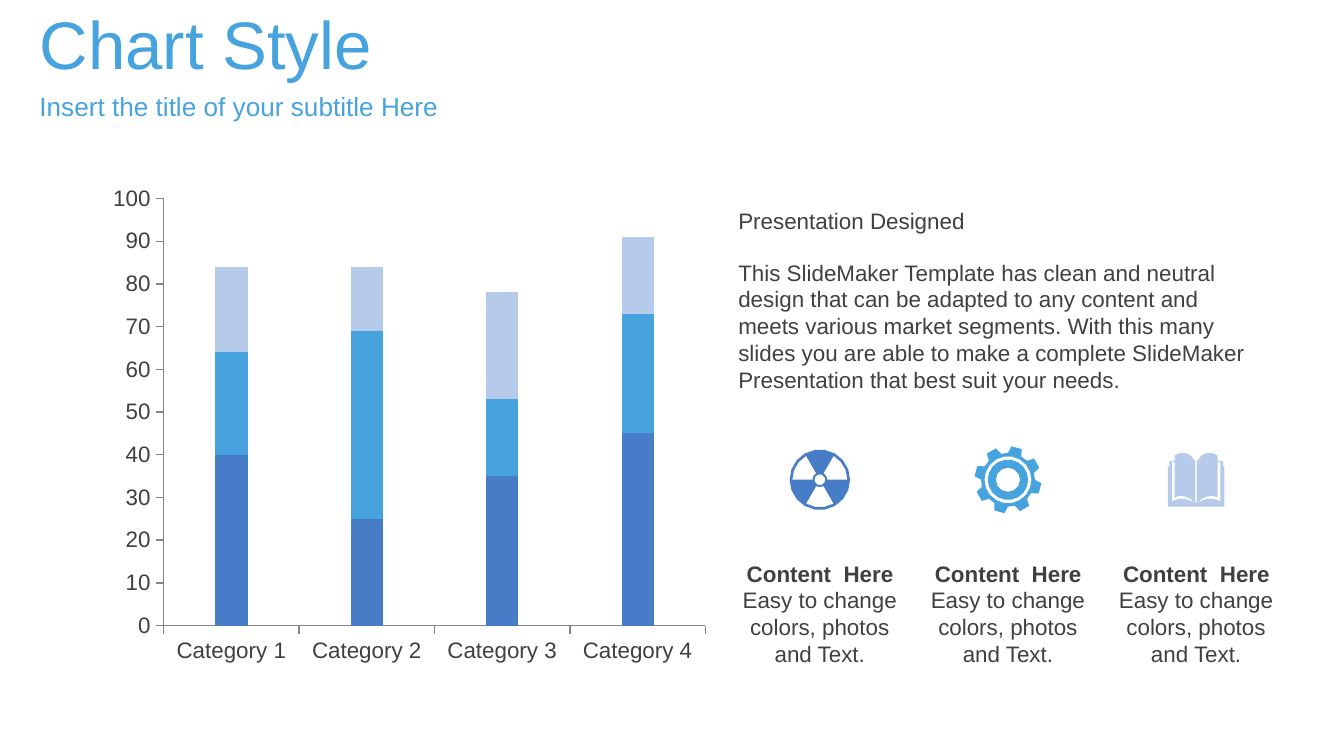
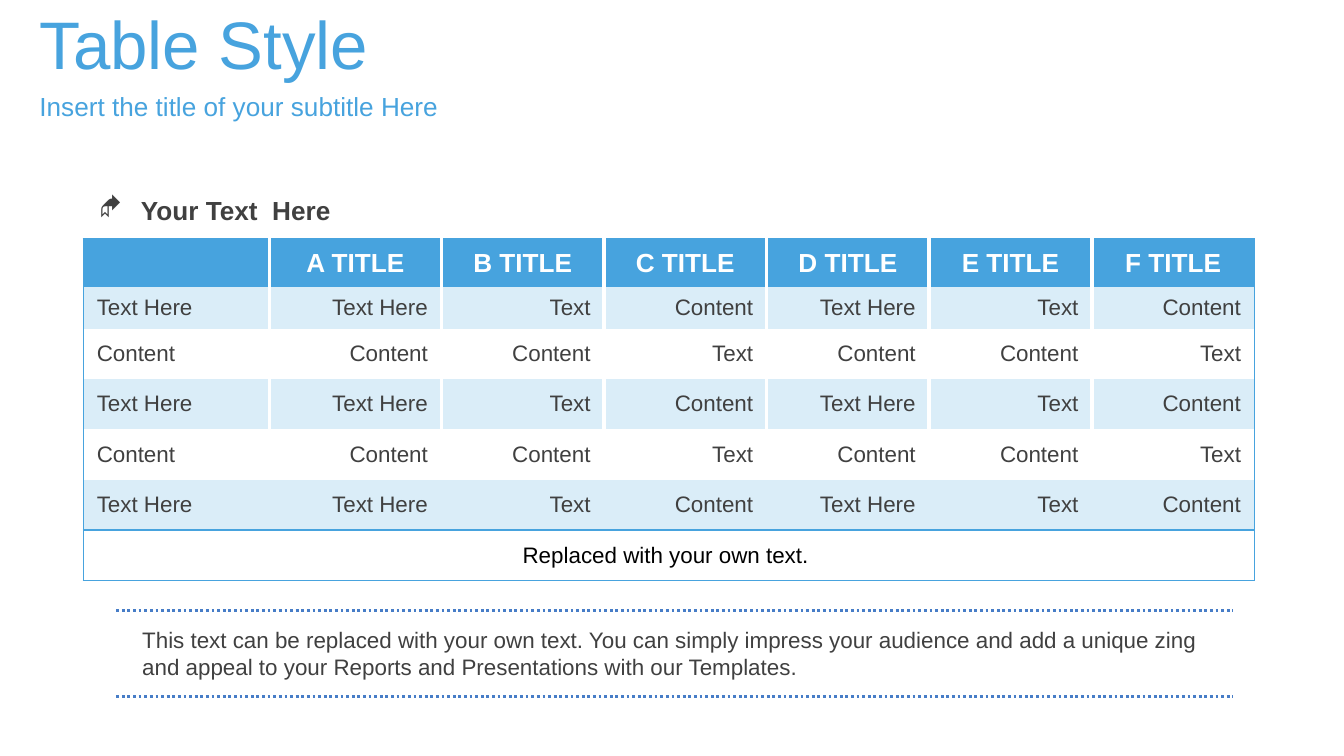
from math import cos, radians, sin

from lxml.etree import SubElement
from pptx import Presentation
from pptx.chart.data import CategoryChartData
from pptx.dml.color import RGBColor
from pptx.enum.chart import XL_CHART_TYPE as ChartType, XL_TICK_MARK as TickMark
from pptx.enum.dml import MSO_LINE as Dash
from pptx.enum.shapes import MSO_CONNECTOR as Connector
from pptx.enum.text import MSO_ANCHOR as Anchor, MSO_AUTO_SIZE as AutoSize, PP_ALIGN as Align
from pptx.oxml import parse_xml
from pptx.oxml.ns import nsdecls, qn
from pptx.util import Pt

PX = 4572
FONT = "Arial"
SKY = RGBColor(0x47, 0xA3, 0xDE)
BLUE = RGBColor(0x47, 0x7D, 0xC7)
PALE = RGBColor(0xB5, 0xCB, 0xE9)
BAND = RGBColor(0xDA, 0xED, 0xF8)
DARK = RGBColor(0x40, 0x40, 0x40)
GRAY = RGBColor(0x86, 0x86, 0x86)
WHITE = RGBColor(0xFF, 0xFF, 0xFF)
BLACK = RGBColor(0, 0, 0)

SUBTITLE = "Insert the title of your subtitle Here"
INTRO = (
    "This SlideMaker Template has clean and neutral design that can be adapted to any "
    "content and meets various market segments. With this many slides you are able to "
    "make a complete SlideMaker Presentation that best suit your needs."
)
CLOSING = (
    "This text can be replaced with your own text. You can simply impress your audience "
    "and add a unique zing and appeal to your Reports and Presentations with our Templates."
)
SERIES = [
    ("Series 1", (40, 25, 35, 45), BLUE),
    ("Series 2", (24, 44, 18, 28), SKY),
    ("Series 3", (20, 15, 25, 18), PALE),
]
HEADER = [""] + [f"{letter} TITLE" for letter in "ABCDEF"]
BANDED_ROW = ["Text Here"] + ["Text Here", "Text", "Content"] * 2
PLAIN_ROW = ["Content"] + ["Content", "Content", "Text"] * 2
TABLE_ROWS = [HEADER, BANDED_ROW, PLAIN_ROW, BANDED_ROW, PLAIN_ROW, BANDED_ROW]
FOOTNOTE = "Replaced with your own text. "
COLUMN_WIDTHS = [277, 256] + [242] * 5
ROW_HEIGHTS = [71, 62] + [75] * 5
COVER_HALF = [
    (-42, 754), (-42, 694), (-40, 694), (-40, 686), (-32, 686), (-32, 678),
    (-26, 675), (-20, 674), (-13, 675), (-7, 679), (-2, 686),
]
PAGE_GAP = [
    (-32, 688), (-36, 688), (-36, 746), (-28, 743), (-20, 742), (-11, 744),
    (-2, 748), (-9, 742), (-16, 739), (-24, 738), (-32, 740),
]
SPINE = [(-1, 686), (1, 686), (1, 748), (-1, 748)]


def set_font(font, size, color, bold=False):
    font.name = FONT
    font.size = Pt(size)
    font.bold = bold
    font.color.rgb = color


def write(frame, text, size=12, color=DARK, bold=False, align=Align.LEFT):
    paragraph = frame.paragraphs[0]
    paragraph.text = text
    paragraph.alignment = align
    set_font(paragraph.font, size, color, bold)
    return paragraph


def add_frame(slide, left, top, width, height):
    frame = slide.shapes.add_textbox(left * PX, top * PX, width * PX, height * PX).text_frame
    frame.word_wrap = True
    return frame


def add_text(slide, left, top, width, height, text, **style):
    return write(add_frame(slide, left, top, width, height), text, **style)


def add_heading(slide, text):
    title = slide.shapes.title
    title.left, title.top, title.width, title.height = 39 * PX, 0, 1560 * PX, 126 * PX
    title.text_frame.auto_size = AutoSize.NONE
    subtitle = add_frame(slide, 39, 127, 1560, 62)
    for frame, wording, size in ((title.text_frame, text, 36), (subtitle, SUBTITLE, 14)):
        frame.vertical_anchor = Anchor.MIDDLE
        write(frame, wording, size=size, color=SKY)


def add_stacked_chart(slide):
    data = CategoryChartData()
    data.categories = [f"Category {number}" for number in range(1, 5)]
    for name, values, _ in SERIES:
        data.add_series(name, values)
    chart = slide.shapes.add_chart(
        ChartType.COLUMN_STACKED, 150 * PX, 263 * PX, 918 * PX, 738 * PX, data
    ).chart
    set_font(chart.font, 18, BLACK)
    chart.has_legend = False
    chart.has_title = False
    plot = chart.plots[0]
    plot.gap_width = 321
    plot.overlap = 100
    plot.vary_by_categories = False
    for series, (_, _, color) in zip(plot.series, SERIES):
        series.format.fill.solid()
        series.format.fill.fore_color.rgb = color
    for axis in (chart.category_axis, chart.value_axis):
        axis.has_major_gridlines = False
        axis.major_tick_mark = TickMark.OUTSIDE
        axis.minor_tick_mark = TickMark.NONE
        axis.format.line.color.rgb = GRAY
        axis.format.line.width = Pt(0.75)
        set_font(axis.tick_labels.font, 12, DARK)
    chart.value_axis.minimum_scale = 0
    chart.value_axis.maximum_scale = 100
    chart.value_axis.major_unit = 10


def polar(center, radius, angle):
    return center[0] + radius * cos(radians(angle)), center[1] + radius * sin(radians(angle))


def arc(center, radius, start, end):
    steps = abs(end - start) // (20 if radius >= 30 else 30)
    return [
        polar(center, radius, start + (end - start) * step / steps) for step in range(steps + 1)
    ]


def circle(center, radius):
    return arc(center, radius, 0, 360)[:-1]


def add_outline(slide, contours, color):
    contours = [[(round(x * PX), round(y * PX)) for x, y in contour] for contour in contours]
    builder = slide.shapes.build_freeform(*contours[0][0])
    builder.add_line_segments(contours[0][1:])
    for contour in contours[1:]:
        builder.move_to(*contour[0])
        builder.add_line_segments(contour[1:])
    icon = builder.convert_to_shape()
    icon.shadow.inherit = False
    icon.fill.solid()
    icon.fill.fore_color.rgb = color
    icon.line.fill.background()


def add_radiation_icon(slide, center):
    sectors = [
        arc(center, 41, start, start + 60) + arc(center, 11, start + 60, start)
        for start in (60, 180, 300)
    ]
    add_outline(slide, [circle(center, 45), circle(center, 8)] + sectors, BLUE)


def add_gear_icon(slide, center):
    teeth = [
        polar(center, radius, middle + offset)
        for middle in range(-75, 285, 45)
        for radius, offset in ((40, -15), (50, -9), (50, 9), (40, 15))
    ]
    add_outline(slide, [teeth] + [circle(center, radius) for radius in (35, 30, 18)], SKY)


def add_book_icon(slide, middle):
    def mirrored(points):
        return [(-x, y) for x, y in reversed(points)]

    contours = [COVER_HALF + mirrored(COVER_HALF), PAGE_GAP, mirrored(PAGE_GAP), SPINE]
    add_outline(slide, [[(middle + x, y) for x, y in part] for part in contours], PALE)


def add_content_column(slide, left):
    add_text(
        slide, left, 863, 296, 142, "Easy to change colors, photos and Text.", align=Align.CENTER
    )
    add_text(slide, left, 824, 297, 60, "Content  Here", bold=True, align=Align.CENTER)


def set_borders(cell, **borders):
    properties = cell._tc.get_or_add_tcPr()
    for position, side in enumerate("LRTB"):
        color, width = borders.get(side) or (None, 0)
        paint = f'<a:solidFill><a:srgbClr val="{color}"/></a:solidFill>' if color else "<a:noFill/>"
        line = f'<a:ln{side} {nsdecls("a")} w="{Pt(width)}">{paint}</a:ln{side}>'
        properties.insert(position, parse_xml(line))


def format_cell(cell, row, column, text):
    last_row, last_column = len(ROW_HEIGHTS) - 1, len(COLUMN_WIDTHS) - 1
    frame_line = (SKY, 1)
    divider = (WHITE, 2.25) if row < 4 else None
    cell.vertical_anchor = Anchor.MIDDLE
    if row == 0:
        fill = SKY
        write(cell.text_frame, text, size=14, color=WHITE, bold=True, align=Align.CENTER)
    elif row == last_row:
        fill = None
        write(cell.text_frame, text, color=BLACK, align=Align.CENTER)
    else:
        fill = BAND if row % 2 else None
        write(cell.text_frame, text, align=Align.RIGHT if column else Align.LEFT)
    if fill:
        cell.fill.solid()
        cell.fill.fore_color.rgb = fill
    else:
        cell.fill.background()
    set_borders(
        cell,
        L=frame_line if column == 0 or row == last_row else divider,
        R=frame_line if column == last_column or row == last_row else divider,
        T=frame_line if row in (0, last_row) else None,
        B=frame_line if row >= last_row - 1 else None,
    )


def add_text_table(slide):
    table = slide.shapes.add_table(
        len(ROW_HEIGHTS), len(COLUMN_WIDTHS), 124 * PX, 356 * PX,
        sum(COLUMN_WIDTHS) * PX, sum(ROW_HEIGHTS) * PX,
    ).table
    table.first_row = False
    table.horz_banding = False
    for column, width in zip(table.columns, COLUMN_WIDTHS):
        column.width = width * PX
    for row, height in zip(table.rows, ROW_HEIGHTS):
        row.height = height * PX
    footnote_row = [FOOTNOTE] + [""] * (len(COLUMN_WIDTHS) - 1)
    for row, texts in enumerate(TABLE_ROWS + [footnote_row]):
        for column, text in enumerate(texts):
            format_cell(table.cell(row, column), row, column, text)
    last_row = len(TABLE_ROWS)
    table.cell(last_row, 0).merge(table.cell(last_row, len(COLUMN_WIDTHS) - 1))


def add_bullet_heading(slide, text):
    frame = add_frame(slide, 128, 279, 472, 68)
    properties = frame.paragraphs[0]._p.get_or_add_pPr()
    properties.set("marL", str(62 * PX))
    properties.set("indent", str(-62 * PX))
    SubElement(properties, qn("a:buFont")).set("typeface", "Wingdings")
    SubElement(properties, qn("a:buChar")).set("char", "◆")
    write(frame, text, size=14, bold=True)


def add_dotted_line(slide, top):
    rule = slide.shapes.add_connector(Connector.STRAIGHT, 173 * PX, top * PX, 1835 * PX, top * PX)
    rule.line.color.rgb = BLUE
    rule.line.width = Pt(1.5)
    rule.line.dash_style = Dash.ROUND_DOT
    SubElement(rule._element.spPr, qn("a:effectLst"))


def build_chart_slide(slide):
    add_heading(slide, "Chart Style")
    add_stacked_chart(slide)
    add_text(slide, 1079, 294, 804, 62, "Presentation Designed").line_spacing = 1.1
    add_text(slide, 1079, 375, 804, 222, INTRO)
    add_book_icon(slide, 1780)
    add_radiation_icon(slide, (1220, 714))
    add_gear_icon(slide, (1500, 714))
    for column in range(3):
        add_content_column(slide, 1072 + 280 * column)


def build_table_slide(slide):
    add_heading(slide, "Table Style")
    add_text_table(slide)
    add_bullet_heading(slide, "Your Text  Here")
    add_text(slide, 192, 922, 1614, 100, CLOSING)
    for top in (908, 1036):
        add_dotted_line(slide, top)


def main():
    deck = Presentation()
    deck.slide_width, deck.slide_height = 2000 * PX, 1125 * PX
    title_only = deck.slide_layouts[5]
    for build in (build_chart_slide, build_table_slide):
        build(deck.slides.add_slide(title_only))
    deck.save("out.pptx")


if __name__ == "__main__":
    main()
